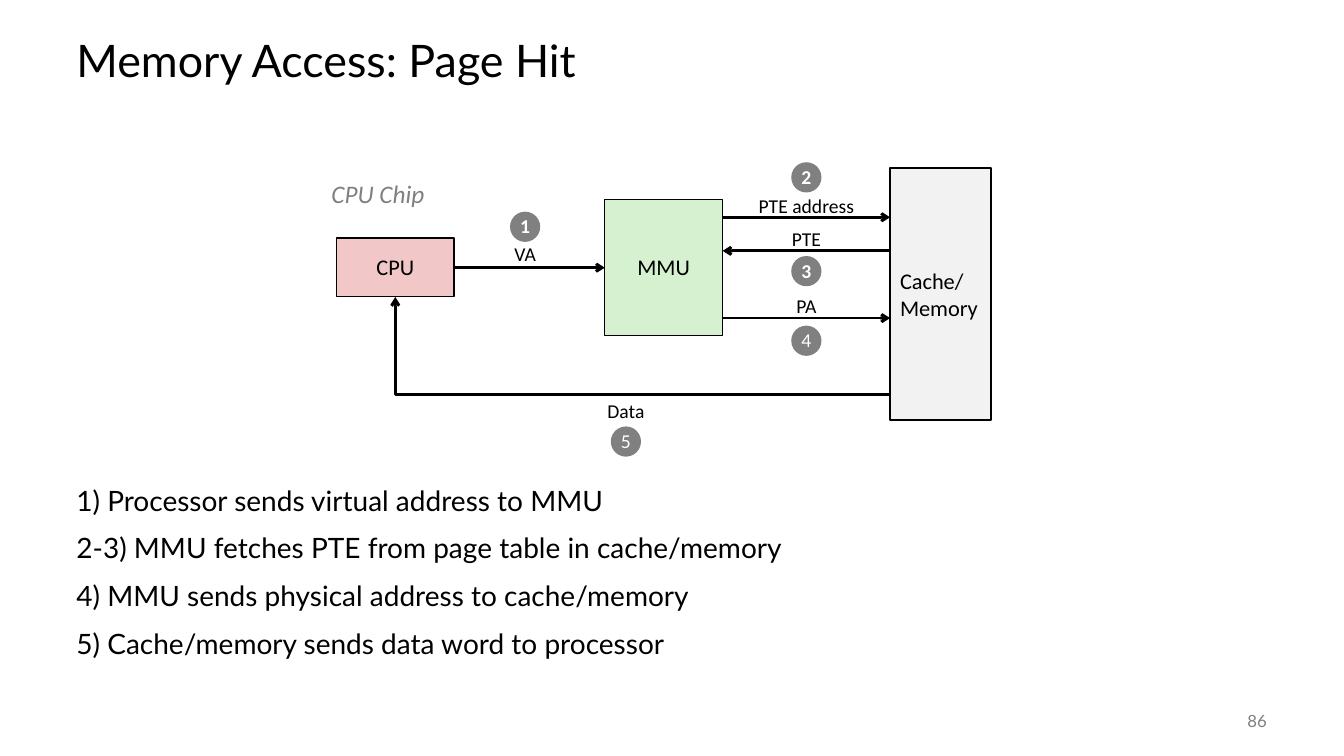
"""Builds the slide that traces a memory access with a page hit."""
from lxml import etree
from pptx import Presentation
from pptx.dml.color import RGBColor
from pptx.enum.shapes import MSO_CONNECTOR, MSO_SHAPE
from pptx.enum.text import MSO_ANCHOR, PP_ALIGN
from pptx.oxml.ns import qn
from pptx.util import Pt

RECT, OVAL = MSO_SHAPE.RECTANGLE, MSO_SHAPE.OVAL
STRAIGHT, ELBOW = MSO_CONNECTOR.STRAIGHT, MSO_CONNECTOR.ELBOW
TOP, MIDDLE = MSO_ANCHOR.TOP, MSO_ANCHOR.MIDDLE
LEFT, CENTER, RIGHT = PP_ALIGN.LEFT, PP_ALIGN.CENTER, PP_ALIGN.RIGHT

COLORS = {"black": "000000", "white": "FFFFFF", "gray": "808080",
          "cpu": "F1C7C7", "mmu": "D5F1CF", "memory": "F2F2F2"}
STEPS = ["1) Processor sends virtual address to MMU",
         "2-3) MMU fetches PTE from page table in cache/memory",
         "4) MMU sends physical address to cache/memory",
         "5) Cache/memory sends data word to processor"]
VA_X, MEMORY_X, DATA_X = 375.1, 576, 447.1
CPU_MID, CPU_RIGHT = 282.4, 324.4
MMU_LEFT, MMU_RIGHT, MEMORY_LEFT = 432, 516.2, 635.8
LABEL_H, BADGE = 24, 21.6


def rgb(name):
    return RGBColor.from_string(COLORS[name])


def write(sp, lines, size, color="black", font="Calibri", align=CENTER,
          anchor=MIDDLE, wrap=False, spacing=0.98, before=0, **style):
    tf = sp.text_frame
    tf.word_wrap = wrap
    tf.vertical_anchor = anchor
    for i, line in enumerate(lines):
        p = tf.paragraphs[0] if i == 0 else tf.add_paragraph()
        layout = {"alignment": align, "line_spacing": spacing,
                  "space_before": Pt(before if i else 0)}
        for key, value in layout.items():
            setattr(p, key, value)
        r = p.add_run()
        r.text = line
        for key, value in {"name": font, "size": Pt(size), **style}.items():
            setattr(r.font, key, value)
        r.font.color.rgb = rgb(color)


def add_text(s, box, lines, size, **options):
    sp = s.shapes.add_textbox(*map(Pt, box))
    write(sp, lines, size, **options)


def add_label(s, x, y, text, width=60):
    add_text(s, (x - width / 2, y - LABEL_H / 2, width, LABEL_H), [text], 14)


def add_filled(s, kind, box, fill, line_width=0):
    sp = s.shapes.add_shape(kind, *map(Pt, box))
    sp.shadow.inherit = False
    sp.fill.solid()
    sp.fill.fore_color.rgb = rgb(fill)
    if line_width:
        sp.line.color.rgb = rgb("black")
        sp.line.width = Pt(line_width)
    else:
        sp.line.fill.background()
    return sp


def add_unit(s, box, fill, lines, line_width=1, **options):
    write(add_filled(s, RECT, box, fill, line_width), lines, 16, **options)


def add_badge(s, x, y, number, bold=False):
    box = (x - BADGE / 2, y - BADGE / 2, BADGE, BADGE)
    write(add_filled(s, OVAL, box, "gray"), [number], 14, "white", bold=bold)


def add_arrow(s, start, end, kind=STRAIGHT):
    c = s.shapes.add_connector(kind, *map(Pt, start + end))
    c.line.color.rgb = rgb("black")
    c.line.width = Pt(2)
    etree.SubElement(c.line._get_or_add_ln(), qn("a:tailEnd"), type="arrow")
    sp_pr = c._element.spPr
    etree.SubElement(sp_pr, qn("a:effectLst"))
    if kind == ELBOW:
        sp_pr.find(qn("a:prstGeom")).set("prst", "bentConnector2")


def main():
    prs = Presentation()
    prs.slide_width, prs.slide_height = Pt(960), Pt(540)
    s = prs.slides.add_slide(prs.slide_layouts[6])

    add_text(s, (47.5, 18, 864, 54), ["Memory Access: Page Hit"], 32,
             font="Lato", align=LEFT, wrap=True, spacing=0.9)
    add_text(s, (47.5, 344.2, 864, 142), STEPS, 20, font="Lato", align=LEFT,
             anchor=TOP, wrap=True, spacing=0.9, before=12.5)

    add_unit(s, (MMU_LEFT, 142.6, 84.2, 97.2), "mmu", ["MMU"])
    add_unit(s, (MEMORY_LEFT, 120.2, 72, 180), "memory", ["Cache/", "Memory"],
             line_width=1.5, align=LEFT, spacing=1.0)
    add_unit(s, (240.3, 170, 84.2, 42), "cpu", ["CPU"])
    add_text(s, (229.7, 123.8, 83.5, 29), ["CPU Chip"], 18, color="gray",
             align=LEFT, anchor=TOP, spacing=1.0, italic=True)

    add_arrow(s, (CPU_RIGHT, 191.2), (MMU_LEFT, 191.2))
    add_arrow(s, (MMU_RIGHT, 155.2), (MEMORY_LEFT, 155.2))
    add_arrow(s, (MEMORY_LEFT, 179.2), (MMU_RIGHT, 179.2))
    add_arrow(s, (MMU_RIGHT, 227.2), (MEMORY_LEFT, 227.2))
    add_arrow(s, (MEMORY_LEFT, 282), (CPU_MID, 212.2), ELBOW)

    add_label(s, VA_X, 181.8, "VA")
    add_label(s, MEMORY_X, 147.6, "PTE address", width=85)
    add_label(s, MEMORY_X, 171, "PTE")
    add_label(s, MEMORY_X, 219.2, "PA")
    add_label(s, DATA_X, 294.1, "Data")

    add_badge(s, VA_X, 162, "1", bold=True)
    add_badge(s, MEMORY_X, 126.7, "2", bold=True)
    add_badge(s, MEMORY_X, 193.7, "3", bold=True)
    add_badge(s, MEMORY_X, 243.4, "4")
    add_badge(s, DATA_X, 315.4, "5")

    add_text(s, (840, 500.5, 72, 29), ["86"], 12, color="gray", font="Lato",
             align=RIGHT, wrap=True, spacing=1.0)
    prs.save("out.pptx")


if __name__ == "__main__":
    main()
